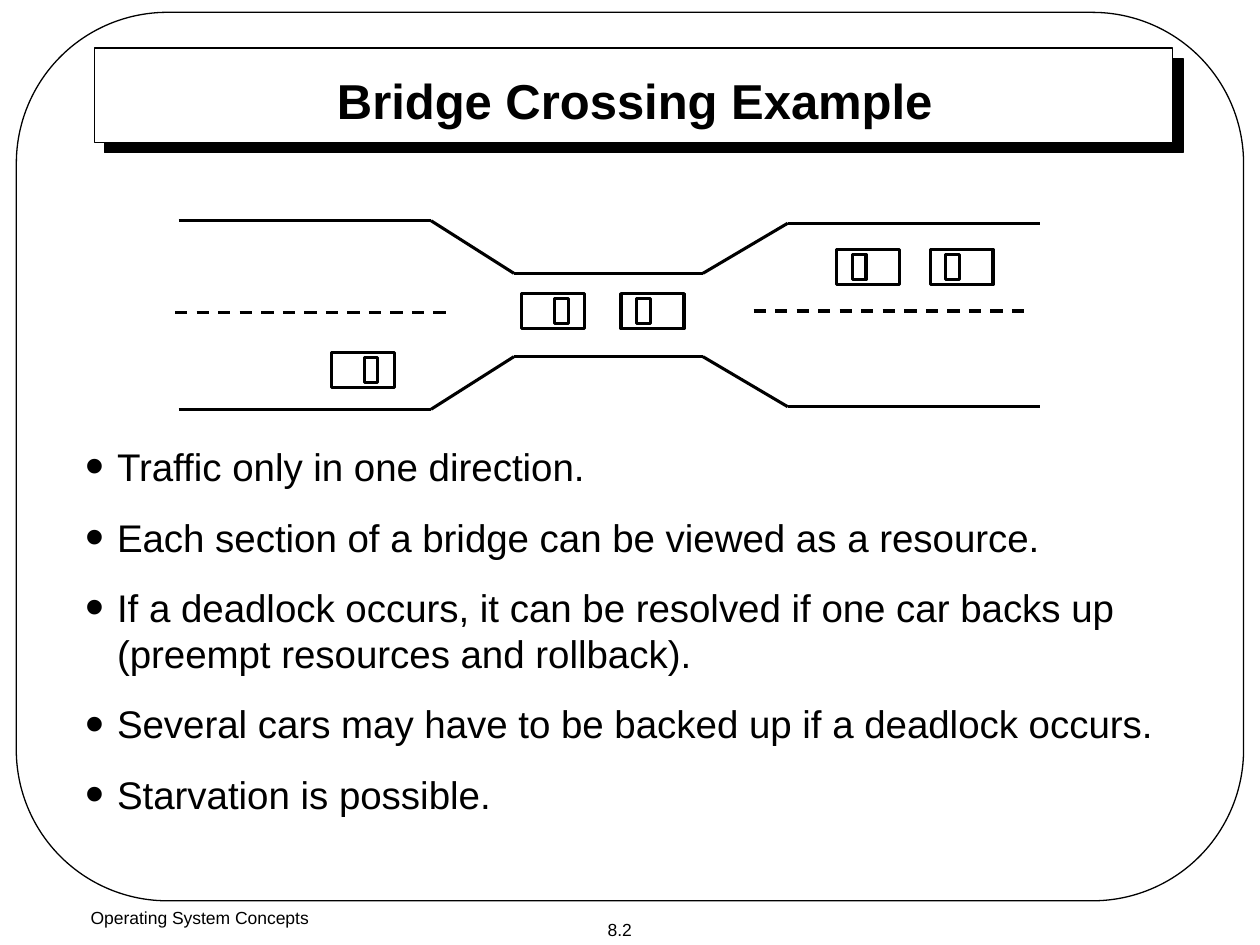
from itertools import pairwise

from lxml import etree
from pptx import Presentation
from pptx.dml.color import RGBColor
from pptx.enum.dml import MSO_LINE
from pptx.enum.shapes import MSO_CONNECTOR, MSO_SHAPE
from pptx.enum.text import MSO_ANCHOR, PP_ALIGN
from pptx.oxml import parse_xml
from pptx.oxml.ns import nsdecls, qn
from pptx.util import Cm, Pt

BLACK = RGBColor(0x00, 0x00, 0x00)
WHITE = RGBColor(0xFF, 0xFF, 0xFF)
FONT = "Arial"
RECT, ROUND_RECT = MSO_SHAPE.RECTANGLE, MSO_SHAPE.ROUNDED_RECTANGLE
STRAIGHT, DASH = MSO_CONNECTOR.STRAIGHT, MSO_LINE.DASH
LEFT, CENTER = PP_ALIGN.LEFT, PP_ALIGN.CENTER
TOP, MIDDLE = MSO_ANCHOR.TOP, MSO_ANCHOR.MIDDLE

prs = Presentation()
prs.slide_width, prs.slide_height = Cm(25.4), Cm(19.05)
s = prs.slides.add_slide(prs.slide_layouts[5])


def write(sp, *lines, size=10, bold=False, align=CENTER, anchor=TOP,
          wrap=True, bullet=None, gap=0):
    tf = sp.text_frame
    tf.word_wrap, tf.vertical_anchor = wrap, anchor
    for i, line in enumerate(lines):
        p = tf.add_paragraph() if i else tf.paragraphs[0]
        p.alignment = align
        p.space_before = Pt(gap if i else 0)
        if bullet:
            pPr = p._p.get_or_add_pPr()
            pPr.set("marL", str(Cm(0.64)))
            pPr.set("indent", str(-Cm(0.64)))
            etree.SubElement(pPr, qn("a:buSzPct"), val="140000")
            etree.SubElement(pPr, qn("a:buFont"), typeface=FONT)
            etree.SubElement(pPr, qn("a:buChar"), char=bullet)
        r = p.add_run()
        r.text = line
        r.font.name, r.font.size, r.font.bold = FONT, Pt(size), bold
        r.font.color.rgb = BLACK


def add_box(shape, x, y, w, h, line_width=1.75):
    sp = s.shapes.add_shape(shape, Cm(x), Cm(y), Cm(w), Cm(h))
    sp.shadow.inherit = False
    sp.fill.solid()
    sp.fill.fore_color.rgb = WHITE
    sp.line.color.rgb = BLACK
    sp.line.width = Pt(line_width)
    return sp


# Frame and title panel with a hard shadow
frame = add_box(ROUND_RECT, 0.33, 0.25, 24.74, 17.91, line_width=0.75)
frame.adjustments[0] = 0.17
panel = add_box(RECT, 1.9, 0.97, 21.74, 1.9, line_width=0.75)
panel._element.spPr.find(qn("a:effectLst")).append(parse_xml(
    f'<a:outerShdw {nsdecls("a")} dist="{Pt(8.5)}" dir="2700000" algn="ctr" '
    'rotWithShape="0"><a:srgbClr val="000000"/></a:outerShdw>'))

# Title, brought in front of its panel
title = s.shapes.title
title.left, title.top, title.width, title.height = Cm(3.23), Cm(1.37), Cm(19.13), Cm(1.27)
write(title, "Bridge Crossing Example", size=28, bold=True, anchor=MIDDLE)
s.shapes._spTree.append(title._element)

# Footer and page number
footer = s.shapes.add_textbox(Cm(0), Cm(18.16), Cm(8.05), Cm(0.89))
write(footer, "Operating System Concepts")
number = s.shapes.add_textbox(Cm(11.3), Cm(18.39), Cm(2.39), Cm(0.69))
write(number, "8.2", anchor=MIDDLE, wrap=False)

# Bullet points
body = s.shapes.add_textbox(Cm(1.47), Cm(8.81), Cm(22.53), Cm(8.92))
write(body,
      "Traffic only in one direction.",
      "Each section of a bridge can be viewed as a resource.",
      "If a deadlock occurs, it can be resolved if one car backs up "
      "(preempt resources and rollback).",
      "Several cars may have to be backed up if a deadlock occurs.",
      "Starvation is possible.",
      size=22, align=LEFT, bullet="•", gap=13.8)

# Road: the lower edge mirrors the upper one about the road's axis
AXIS = 6.35
upper = [(3.6, 4.45), (8.69, 4.45), (10.36, 5.51),
         (14.17, 5.51), (15.88, 4.5), (20.96, 4.5)]
lower = [(x, 2 * AXIS - y) for x, y in upper]
segments = [(a, b, None) for edge in (upper, lower) for a, b in pairwise(edge)]
segments += [((3.53, 6.3), (9.12, 6.3), DASH), ((15.19, 6.27), (20.8, 6.27), DASH)]
for (x1, y1), (x2, y2), dash in segments:
    line = s.shapes.add_connector(STRAIGHT, Cm(x1), Cm(y1), Cm(x2), Cm(y2))
    line.line.color.rgb = BLACK
    line.line.width = Pt(1.75)
    if dash:
        line.line.dash_style = dash
    etree.SubElement(line._element.spPr, qn("a:effectLst"))

# Cars: the window sits towards the front
EASTBOUND, WESTBOUND = 0.66, 0.31
cars = [(6.68, 7.11, EASTBOUND), (10.52, 5.92, EASTBOUND), (12.52, 5.92, WESTBOUND),
        (16.87, 5.03, WESTBOUND), (18.75, 5.03, WESTBOUND)]
for x, y, window in cars:
    add_box(RECT, x, y, 1.27, 0.71)
    add_box(RECT, x + window, y + 0.1, 0.28, 0.51)

prs.save("out.pptx")
